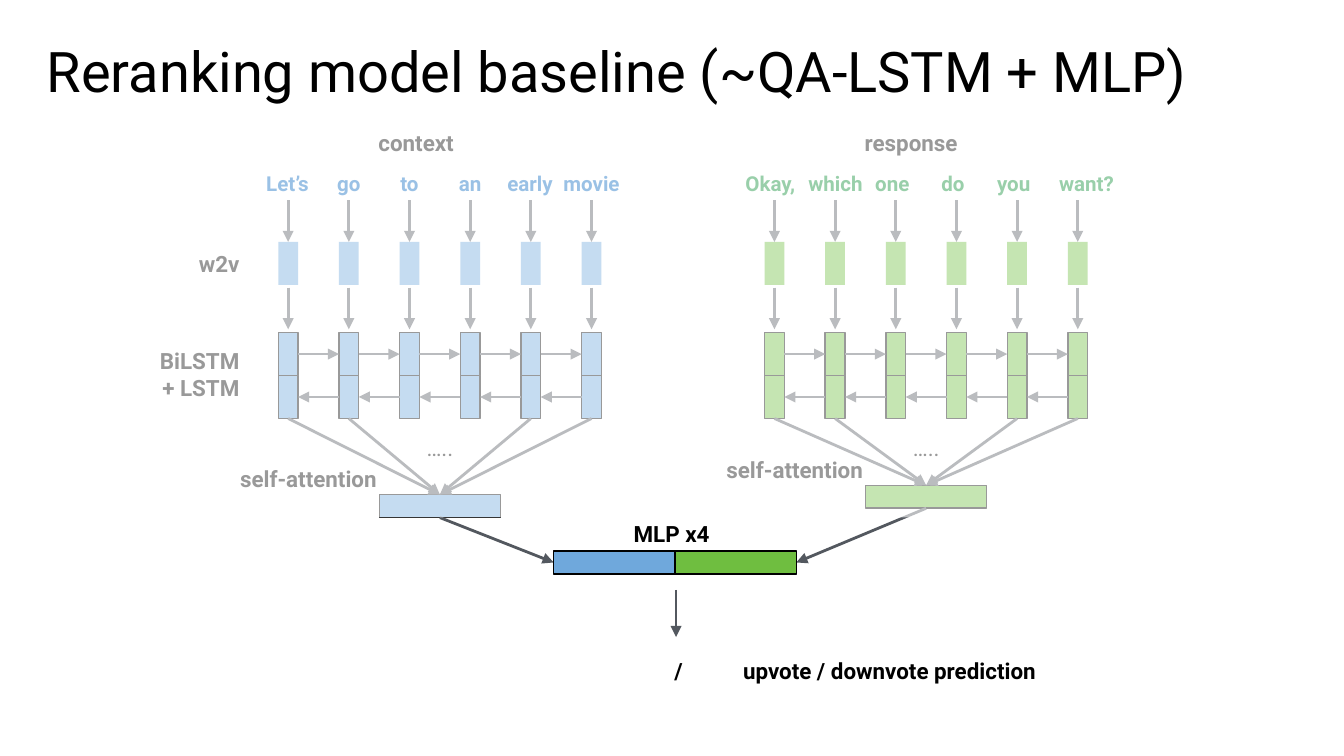
from lxml import etree
from pptx import Presentation
from pptx import util as u
from pptx.dml.color import RGBColor
from pptx.enum import shapes, text
from pptx.oxml.ns import qn

COLORS = {"blue": "6FA8DC", "green": "6FBE40", "blue_word": "0365C0",
          "green_word": "00882B", "arrow": "53585F", "black": "000000",
          "white": "FFFFFF"}
ALIGN = {"l": text.PP_ALIGN.LEFT, "c": text.PP_ALIGN.CENTER, "r": text.PP_ALIGN.RIGHT}

STEP = 32.5                # distance between word columns
CELL_W, CELL_H = 10.6, 23
BAR_W, BAR_H = 65, 12.3
WORD_Y, W2V_Y, LSTM_Y = 85, 129.6, 178.2
LSTM_END = LSTM_Y + 2 * CELL_H
MLP_X, MLP_Y = 296.6, 295.2
LABEL_W = 96


class Slide:
    """Holds the style and the slide being drawn; lengths are in points."""
    font = "Roboto"
    arrow_width = 1.5
    outline_width = 0.75
    inset = 7.2

    def __init__(self, prs):
        self.s = prs.slides.add_slide(prs.slide_layouts[6])

    def color(self, name):
        return RGBColor.from_string(COLORS[name])

    def label(self, words, x, y, w, h=18, size=12, color="black", align="c",
              bold=True, wrap=True, tab=None):
        sp = self.s.shapes.add_textbox(u.Pt(x), u.Pt(y), u.Pt(w), u.Pt(h))
        tf = sp.text_frame
        tf.word_wrap = wrap
        tf.margin_left = tf.margin_right = u.Pt(self.inset)
        tf.margin_top = tf.margin_bottom = u.Pt(self.inset)
        tf.text = words
        for p in tf.paragraphs:
            p.alignment = ALIGN[align]
            if tab:
                tabs = etree.SubElement(p._p.get_or_add_pPr(), qn("a:tabLst"))
                etree.SubElement(tabs, qn("a:tab"), pos=str(u.Pt(tab)), algn="l")
            for r in p.runs:
                r.font.name, r.font.size, r.font.bold = self.font, u.Pt(size), bold
                r.font.color.rgb = self.color(color)

    def box(self, x, y, w, h, fill, outline=True, opacity=None):
        sp = self.s.shapes.add_shape(shapes.MSO_SHAPE.RECTANGLE,
                                     u.Pt(x), u.Pt(y), u.Pt(w), u.Pt(h))
        sp.shadow.inherit = False
        sp.fill.solid()
        sp.fill.fore_color.rgb = self.color(fill)
        if opacity:
            rgb = sp._element.spPr.find(".//" + qn("a:srgbClr"))
            etree.SubElement(rgb, qn("a:alpha"), val=str(opacity * 1000))
        if outline:
            sp.line.color.rgb = self.color("black")
            sp.line.width = u.Pt(self.outline_width)
        else:
            sp.line.fill.background()

    def arrow(self, x1, y1, x2, y2):
        c = self.s.shapes.add_connector(shapes.MSO_CONNECTOR.STRAIGHT,
                                        u.Pt(x1), u.Pt(y1), u.Pt(x2), u.Pt(y2))
        c.line.color.rgb = self.color("arrow")
        c.line.width = u.Pt(self.arrow_width)
        etree.SubElement(c.line._get_or_add_ln(), qn("a:tailEnd"), type="triangle")
        etree.SubElement(c._element.spPr, qn("a:effectLst"))


def encoder(slide, heading, words, nudges, first_x, summary_y, color):
    """Draws one word encoder; nudges shift the words off their columns."""
    columns = [first_x + i * STEP for i in range(len(words))]
    middle = (columns[0] + columns[-1]) / 2
    half = CELL_W / 2

    slide.label(heading, middle - 40, 61.9, 72, 21.6, align="l")
    for x, word, nudge in zip(columns, words, nudges):
        slide.label(word, x + nudge - 25, WORD_Y, 50, 21.6, size=11,
                    color=color + "_word", wrap=False)
        slide.box(x - half, W2V_Y, CELL_W, CELL_H, color, outline=False)
        slide.arrow(x, 107.3, x, W2V_Y)
        slide.arrow(x, 154.1, x, 176.4)
        for row in range(2):
            slide.box(x - half, LSTM_Y + row * CELL_H, CELL_W, CELL_H, color)

    for left, right in zip(columns, columns[1:]):
        forward_y = LSTM_Y + CELL_H / 2
        backward_y = forward_y + CELL_H
        slide.arrow(left + half, forward_y, right - half, forward_y)
        slide.arrow(right - half, backward_y, left + half, backward_y)

    slide.box(middle - BAR_W / 2, summary_y, BAR_W, BAR_H, color)
    for x in columns[:2] + columns[-2:]:
        slide.arrow(x, LSTM_END, middle, summary_y)
    slide.label("…..", middle - LABEL_W / 2, 225.4, LABEL_W, bold=False)
    slide.label("self-attention", middle - 118.4, summary_y - 23, LABEL_W, wrap=False)
    return middle, summary_y + BAR_H


def main():
    prs = Presentation()
    prs.slide_width, prs.slide_height = u.Pt(720), u.Pt(405)
    slide = Slide(prs)

    slide.label("Reranking model baseline (~QA-LSTM + MLP)", 18, 12.2, 635, 48,
                size=30, align="l", bold=False)
    context = encoder(slide, "context", ["Let’s", "go", "to", "an", "early", "movie"],
                      [-0.4, 0, 0, 0, -0.4, 0], 154.4, 265, "blue")
    response = encoder(slide, "response", ["Okay,", "which", "one", "do", "you", "want?"],
                       [-2.2, 0.2, -1.8, -1.8, -1.8, 4.7], 414.9, 260, "green")

    mlp_middle = MLP_Y + BAR_H / 2
    slide.arrow(*context, MLP_X, mlp_middle)
    slide.arrow(*response, MLP_X + 2 * BAR_W, mlp_middle)
    slide.label("w2v", 87.4, 126.7, 48, align="r")
    slide.label("BiLSTM\n+ LSTM", 63.4, 178.6, 72, align="r")

    for i, color in enumerate(("blue", "green")):
        slide.box(MLP_X + i * BAR_W, MLP_Y, BAR_W, BAR_H, color)
    slide.label("MLP x4", 311.8, 271.4, LABEL_W)
    slide.arrow(362.2, 316, 362.2, 341.3)
    slide.label("/\tupvote / downvote prediction", 354.2, 344.9, 270.7, 25.2,
                align="l", tab=36.8)

    # Translucent veil that fades everything before the MLP step
    slide.box(56.9, 71.3, 590.4, 205.9, "white", outline=False, opacity=60)
    prs.save("out.pptx")


if __name__ == "__main__":
    main()
